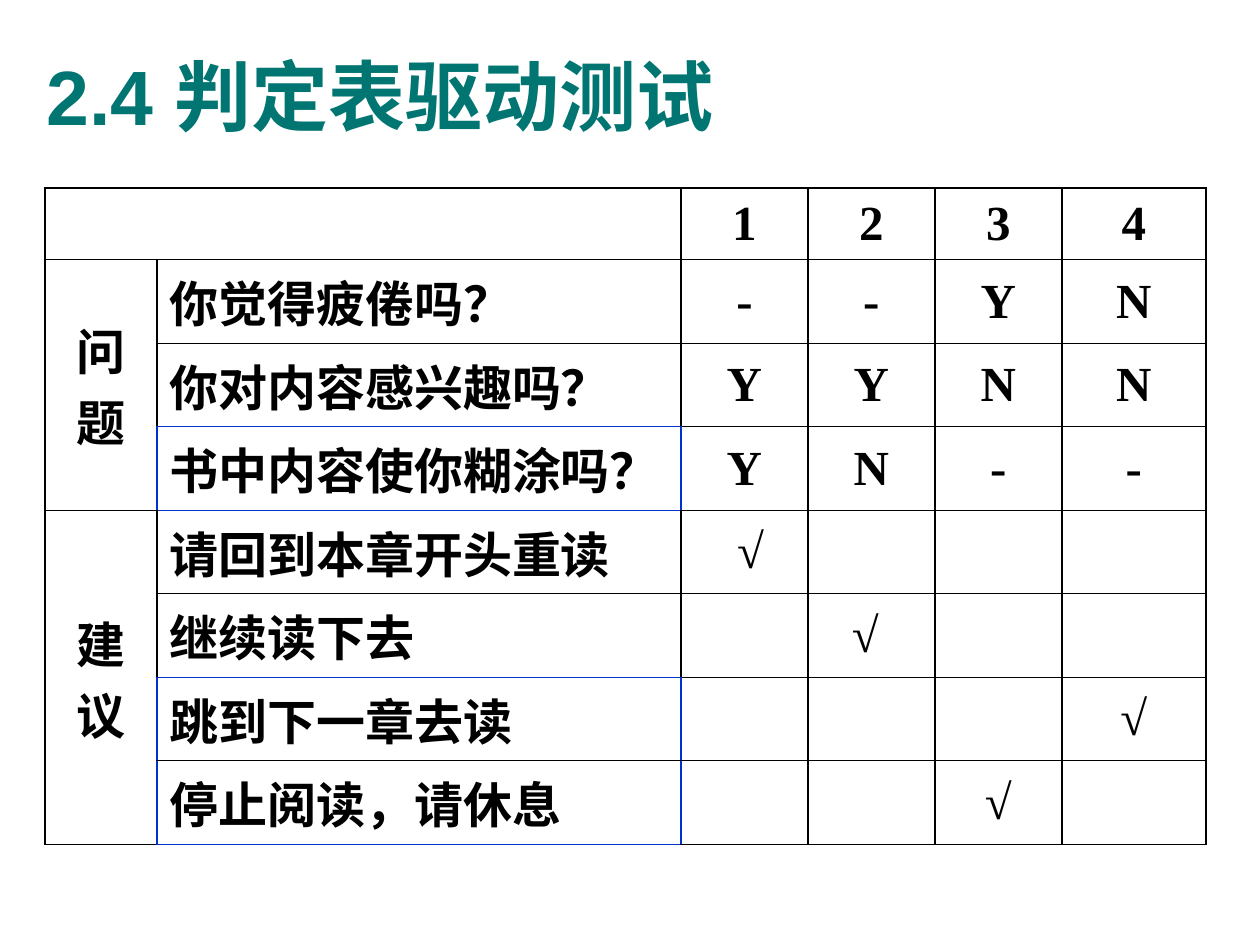
from lxml import etree
from pptx import Presentation
from pptx import util as u
from pptx.dml.color import RGBColor
from pptx.enum import text
from pptx.oxml import ns

PX = 914400 // 126
TEAL = RGBColor(0x00, 0x75, 0x72)
BLACK = RGBColor(0, 0, 0)
BLUE = RGBColor(0x00, 0x33, 0xCC)

COLUMNS = [112, 524, 127, 127, 127, 144]
ROWS = [
    ["", "", "1", "2", "3", "4"],
    ["问题", "你觉得疲倦吗？", "-", "-", "Y", "N"],
    ["", "你对内容感兴趣吗？", "Y", "Y", "N", "N"],
    ["", "书中内容使你糊涂吗？", "Y", "N", "-", "-"],
    ["建议", "请回到本章开头重读", "\N{NO-BREAK SPACE}√", "", "", ""],
    ["", "继续读下去", "", "√\N{NO-BREAK SPACE}", "", ""],
    ["", "跳到下一章去读", "", "", "", "√"],
    ["", "停止阅读，请休息", "", "", "√", ""],
]
HEIGHTS = [71] + [83 + r % 2 for r in range(1, len(ROWS))]
MERGES = [((0, 0), (0, 1)), ((1, 0), (3, 0)), ((4, 0), (7, 0))]
BLUE_SIDES = {
    (2, 1): "B", (3, 1): "LRTB", (4, 1): "T", (5, 1): "B",
    (6, 1): "LRT", (7, 1): "LRB",
    (3, 2): "L", (6, 2): "L", (7, 2): "L",
}


def write_text(para, words, font="Times New Roman", size=28, color=BLACK,
               align=text.PP_ALIGN.LEFT):
    para.alignment = align
    span = para.add_run()
    span.text = words
    span.font.name = font
    span.font.size = u.Pt(size)
    span.font.bold = True
    span.font.color.rgb = color


def draw_border(cell, side, color):
    line = etree.SubElement(cell._tc.get_or_add_tcPr(), ns.qn(f"a:ln{side}"),
                            w=str(u.Pt(1)))
    fill = etree.SubElement(line, ns.qn("a:solidFill"))
    etree.SubElement(fill, ns.qn("a:srgbClr"), val=str(color))


def add_title(page, left, top, width, height):
    box = page.shapes.add_textbox(left * PX, top * PX, width * PX, height * PX)
    frame = box.text_frame
    frame.word_wrap = True
    frame.vertical_anchor = text.MSO_ANCHOR.MIDDLE
    write_text(frame.paragraphs[0], "2.4 判定表驱动测试", font="Arial",
               size=44, color=TEAL)


def add_decision_table(page, left, top):
    frame = page.shapes.add_table(
        len(ROWS), len(COLUMNS), left * PX, top * PX,
        sum(COLUMNS) * PX, sum(HEIGHTS) * PX)
    table = frame.table
    table.first_row = False
    table.horz_banding = False
    for column, width in zip(table.columns, COLUMNS):
        column.width = width * PX
    for row, height in zip(table.rows, HEIGHTS):
        row.height = height * PX
    for start, end in MERGES:
        table.cell(*start).merge(table.cell(*end))

    for r, row in enumerate(ROWS):
        for c, words in enumerate(row):
            cell = table.cell(r, c)
            for side in "LRTB":
                is_blue = side in BLUE_SIDES.get((r, c), "")
                draw_border(cell, side, BLUE if is_blue else BLACK)
            cell.fill.background()
            is_statement = c == 1
            if not is_statement:
                cell.vertical_anchor = text.MSO_ANCHOR.MIDDLE
            if words:
                align = text.PP_ALIGN.LEFT if is_statement else text.PP_ALIGN.CENTER
                write_text(cell.text_frame.paragraphs[0], words, align=align)


def main():
    deck = Presentation()
    deck.slide_width = u.Inches(10)
    deck.slide_height = u.Inches(7.5)
    page = deck.slides.add_slide(deck.slide_layouts[6])
    add_title(page, 34, 16, 1177, 158)
    add_decision_table(page, 45, 188)
    deck.save("out.pptx")


if __name__ == "__main__":
    main()
